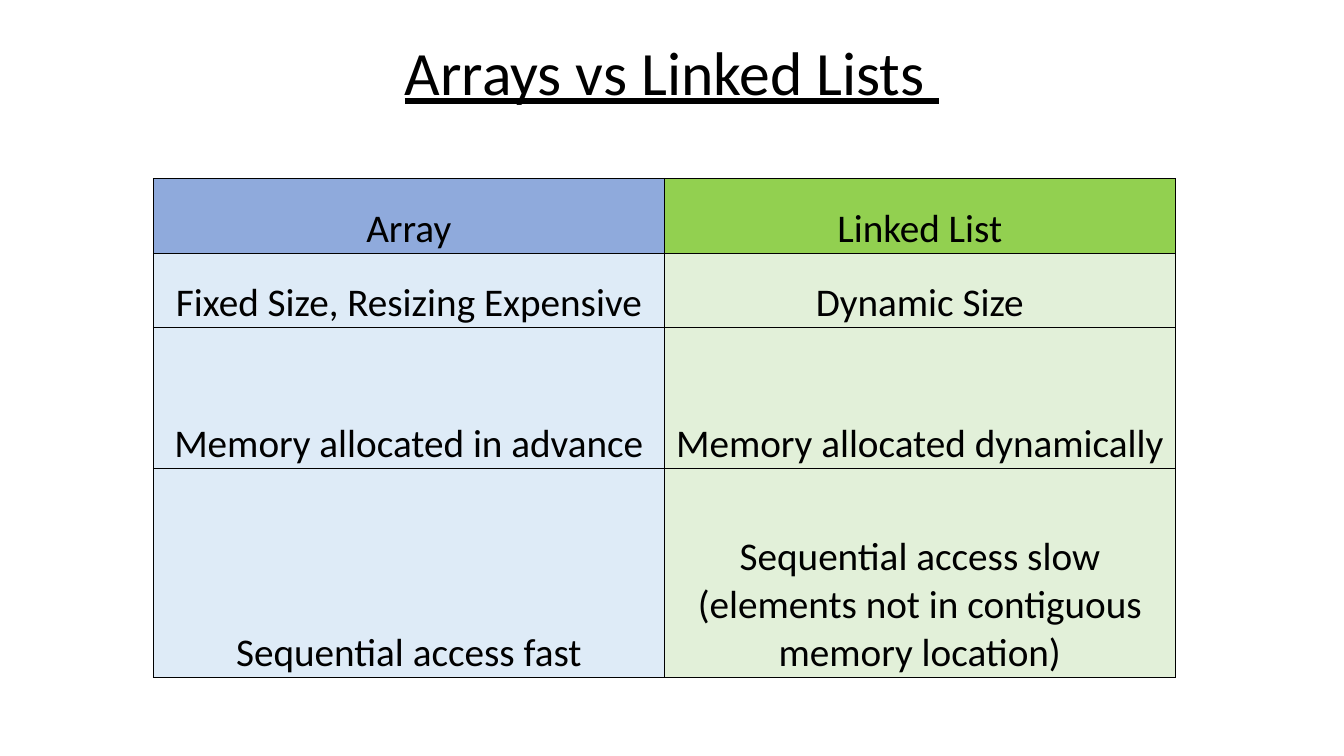
from dataclasses import dataclass

from lxml.etree import SubElement
from pptx import Presentation
from pptx.dml.color import RGBColor
from pptx.enum.text import MSO_ANCHOR as Anchor, MSO_AUTO_SIZE as Fit, PP_ALIGN as Align
from pptx.oxml.ns import qn
from pptx.util import Pt

BLACK = "000000"
FONT = "Calibri"


@dataclass
class Column:
    head: str
    dark: str
    light: str
    facts: list[str]


COLUMNS = [
    Column("Array", "8FAADC", "DEEBF7", [
        "Fixed Size, Resizing Expensive",
        "Memory allocated in advance",
        "Sequential access fast",
    ]),
    Column("Linked List", "92D050", "E2F0D9", [
        "Dynamic Size",
        "Memory allocated dynamically",
        "Sequential access slow (elements not in contiguous memory location)",
    ]),
]
HEIGHTS = [53.3, 53.3, 100.4, 149.2]
WIDTH = 365


def color(code: str) -> RGBColor:
    return RGBColor.from_string(code)


def write(frame, text: str, *, size: float, under: bool = False, space: float = 1) -> None:
    frame.word_wrap = True
    para = frame.paragraphs[0]
    para.alignment = Align.CENTER
    para.line_spacing = space
    run = para.add_run()
    run.text = text
    run.font.name = FONT
    run.font.size = Pt(size)
    run.font.underline = under
    run.font.color.rgb = color(BLACK)


def border(cell, width: float) -> None:
    props = cell._tc.get_or_add_tcPr()
    for side in ("lnL", "lnR", "lnT", "lnB"):
        line = SubElement(props, qn(f"a:{side}"), w=str(int(Pt(width))))
        fill = SubElement(line, qn("a:solidFill"))
        SubElement(fill, qn("a:srgbClr"), val=BLACK)


def fill_cell(cell, text: str, shade: str) -> None:
    cell.margin_left = cell.margin_right = cell.margin_top = Pt(0.75)
    cell.margin_bottom = 0
    cell.vertical_anchor = Anchor.BOTTOM
    border(cell, 0.5)
    cell.fill.solid()
    cell.fill.fore_color.rgb = color(shade)
    write(cell.text_frame, text, size=28)


def add_title(slide, text: str) -> None:
    title = slide.shapes.title
    title.left, title.top = Pt(66), Pt(1.5)
    title.width, title.height = Pt(828), Pt(104.4)
    frame = title.text_frame
    frame.auto_size = Fit.NONE
    frame.vertical_anchor = Anchor.MIDDLE
    write(frame, text, size=44, under=True, space=0.9)


def add_grid(slide) -> None:
    count = len(COLUMNS)
    table = slide.shapes.add_table(
        len(HEIGHTS), count, Pt(109.5), Pt(127.4),
        Pt(WIDTH * count), Pt(sum(HEIGHTS))).table
    for row, height in zip(table.rows, HEIGHTS):
        row.height = Pt(height)
    for x, column in enumerate(COLUMNS):
        table.columns[x].width = Pt(WIDTH)
        for y, text in enumerate([column.head, *column.facts]):
            fill_cell(table.cell(y, x), text, column.light if y else column.dark)


def main() -> None:
    deck = Presentation()
    deck.slide_width, deck.slide_height = Pt(960), Pt(540)
    slide = deck.slides.add_slide(deck.slide_layouts[5])
    add_title(slide, "Arrays vs Linked Lists ")
    add_grid(slide)
    deck.save("out.pptx")


if __name__ == "__main__":
    main()
